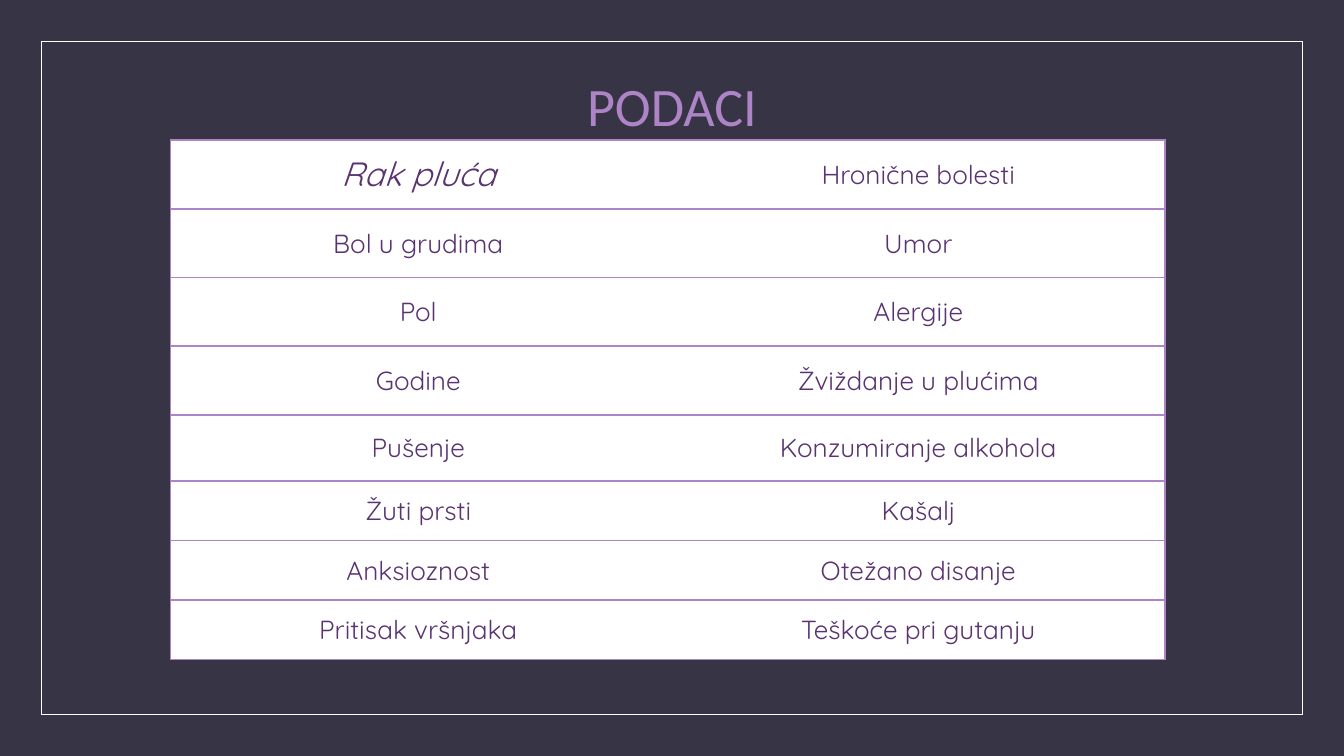
from dataclasses import dataclass

from lxml.etree import SubElement
from pptx import Presentation
from pptx.dml.color import RGBColor as RGB
from pptx.enum.shapes import MSO_SHAPE as Shape
from pptx.enum.text import MSO_ANCHOR as Anchor, PP_ALIGN as Align
from pptx.oxml.ns import qn
from pptx.util import Pt


@dataclass(frozen=True)
class Theme:
    background: RGB = RGB.from_string("373545")
    white: RGB = RGB.from_string("FFFFFF")
    accent: RGB = RGB.from_string("AD84C6")
    text: RGB = RGB.from_string("5A3471")
    title_font: str = "Calibri"
    table_font: str = "Quicksand"
    title_size: float = 29
    target_size: float = 18
    cell_size: float = 14


THEME = Theme()

TARGET = "Rak pluća"
ATTRIBUTES = [
    (TARGET, "Hronične bolesti"),
    ("Bol u grudima", "Umor"),
    ("Pol", "Alergije"),
    ("Godine", "Žviždanje u plućima"),
    ("Pušenje", "Konzumiranje alkohola"),
    ("Žuti prsti", "Kašalj"),
    ("Anksioznost", "Otežano disanje"),
    ("Pritisak vršnjaka", "Teškoće pri gutanju"),
]
COLUMN_WIDTHS = [268.6, 264.2]
ROW_HEIGHTS = [36.8] * 4 + [35.3] + [31.8] * 3
COLUMN_INSETS = [(10, 13), (7.2, 7.2)]
COLUMN_BORDERS = ["LTB", "RTB"]


def add_run(paragraph, text, font, size, color, italic=False):
    paragraph.alignment = Align.CENTER
    run = paragraph.add_run()
    run.text = text
    run.font.name = font
    run.font.size = Pt(size)
    run.font.color.rgb = color
    run.font.italic = italic


def add_title(slide, text):
    title = slide.shapes.title
    title.left, title.top, title.width, title.height = Pt(56.2), Pt(42.5), Pt(607.6), Pt(33)
    frame = title.text_frame
    frame.word_wrap = True
    frame.vertical_anchor = Anchor.TOP
    frame.margin_left = frame.margin_right = frame.margin_bottom = Pt(7.2)
    frame.margin_top = 0
    paragraph = frame.paragraphs[0]
    paragraph.line_spacing = 0.9
    add_run(paragraph, text, THEME.title_font, THEME.title_size, THEME.accent)


def add_border_frame(slide):
    """Outline the slide, behind the title."""
    border = slide.shapes.add_shape(Shape.RECTANGLE, Pt(22), Pt(22.2), Pt(676), Pt(360.6))
    border.shadow.inherit = False
    border.fill.background()
    border.line.color.rgb = THEME.white
    border.line.width = Pt(0.5)
    slide.shapes.title.element.addprevious(border.element)


def set_borders(cell, sides):
    """Draw the named sides (L, R, T, B) and hide the others."""
    properties = cell._tc.get_or_add_tcPr()
    for side in "LRTB":
        line = SubElement(properties, qn(f"a:ln{side}"), w=str(Pt(1)))
        if side in sides:
            fill = SubElement(line, qn("a:solidFill"))
            SubElement(fill, qn("a:srgbClr"), val=str(THEME.accent))
        else:
            SubElement(line, qn("a:noFill"))


def fill_cell(cell, text, insets, borders):
    set_borders(cell, borders)
    cell.fill.solid()
    cell.fill.fore_color.rgb = THEME.white
    cell.vertical_anchor = Anchor.MIDDLE
    cell.margin_left, cell.margin_right = map(Pt, insets)
    cell.margin_top = cell.margin_bottom = Pt(7.2)
    is_target = text == TARGET
    size = THEME.target_size if is_target else THEME.cell_size
    add_run(cell.text_frame.paragraphs[0], text, THEME.table_font, size, THEME.text, is_target)


def add_attribute_table(slide):
    table = slide.shapes.add_table(
        len(ATTRIBUTES), len(COLUMN_WIDTHS), Pt(91.3), Pt(74.9),
        Pt(sum(COLUMN_WIDTHS)), Pt(sum(ROW_HEIGHTS)),
    ).table
    table.first_row = table.horz_banding = False
    for column, width in zip(table.columns, COLUMN_WIDTHS):
        column.width = Pt(width)
    for row, height, texts in zip(table.rows, ROW_HEIGHTS, ATTRIBUTES):
        row.height = Pt(height)
        for cell, text, insets, borders in zip(row.cells, texts, COLUMN_INSETS, COLUMN_BORDERS):
            fill_cell(cell, text, insets, borders)


def main():
    presentation = Presentation()
    presentation.slide_width, presentation.slide_height = Pt(720), Pt(405)
    slide = presentation.slides.add_slide(presentation.slide_layouts[5])
    slide.background.fill.solid()
    slide.background.fill.fore_color.rgb = THEME.background
    add_border_frame(slide)
    add_title(slide, "PODACI")
    add_attribute_table(slide)
    presentation.save("out.pptx")


if __name__ == "__main__":
    main()
